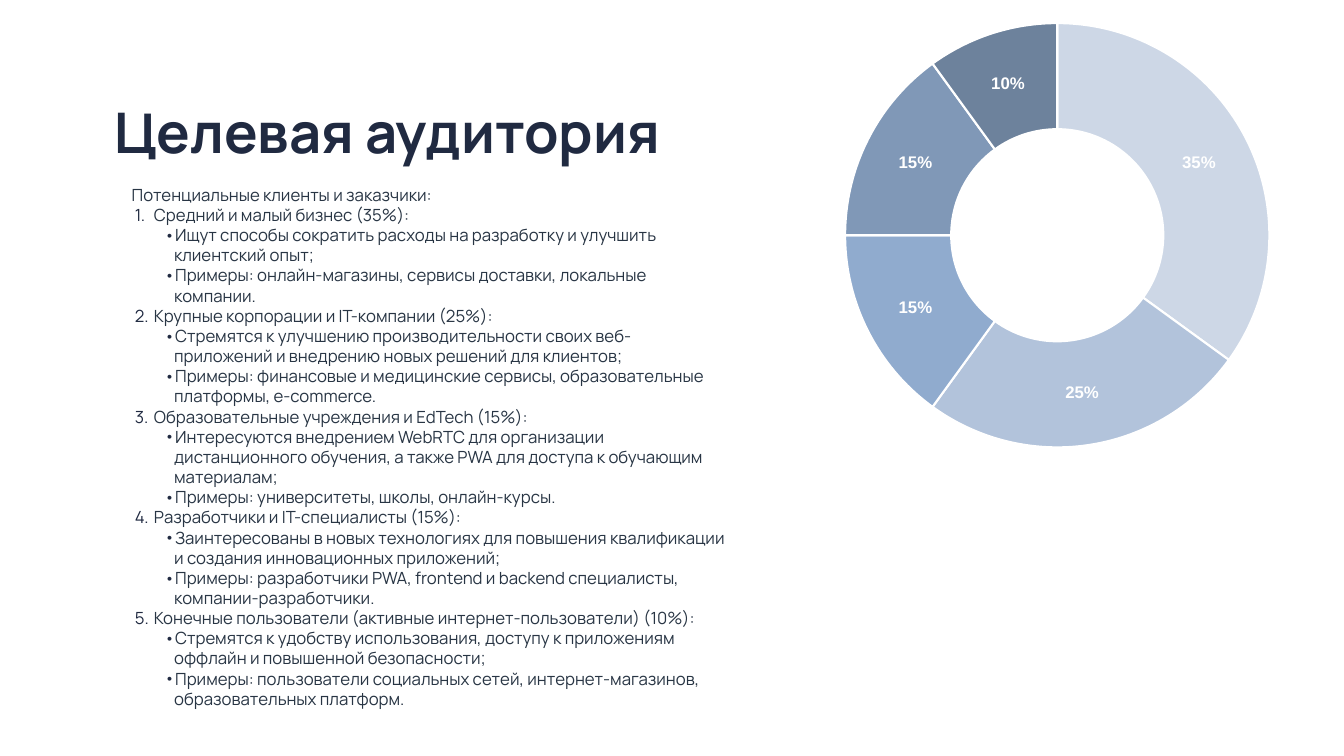
import pptx
import pptx.util
import pptx.chart.data
import pptx.dml.color
import pptx.enum.chart
import pptx.enum.text
from lxml import etree
from pptx.util import Cm, Pt

TITLE = "Целевая аудитория"
INTRO = "Потенциальные клиенты и заказчики:"
GROUPS = [
    ("Средний и малый бизнес", 0.35, "CDD7E6", [
        "Ищут способы сократить расходы на разработку и улучшить клиентский опыт;",
        "Примеры: онлайн-магазины, сервисы доставки, локальные компании."]),
    ("Крупные корпорации и IT-компании", 0.25, "B2C3DB", [
        "Стремятся к улучшению производительности своих веб-приложений и внедрению новых решений для клиентов;",
        "Примеры: финансовые и медицинские сервисы, образовательные платформы, e-commerce."]),
    ("Образовательные учреждения и EdTech", 0.15, "90ABCE", [
        "Интересуются внедрением WebRTC для организации дистанционного обучения, а также PWA для доступа к обучающим материалам;",
        "Примеры: университеты, школы, онлайн-курсы."]),
    ("Разработчики и IT-специалисты", 0.15, "8098B7", [
        "Заинтересованы в новых технологиях для повышения квалификации и создания инновационных приложений;",
        "Примеры: разработчики PWA, frontend и backend специалисты, компании-разработчики."]),
    ("Конечные пользователи (активные интернет-пользователи)", 0.1, "6D829C", [
        "Стремятся к удобству использования, доступу к приложениям оффлайн и повышенной безопасности;",
        "Примеры: пользователи социальных сетей, интернет-магазинов, образовательных платформ."]),
]
NAVY, TEXT, WHITE = "202A41", "283544", "FFFFFF"
LEFT, WIDTH, INSET = Cm(2.64), Cm(15.9), Cm(0.25)
TITLE_TOP, TITLE_H, BODY_H = Cm(2.29), Cm(2.11), Cm(12.73)
RING_LAYOUT = {"x": 0.12, "y": 0.03, "w": 0.76, "h": 0.94}


def rgb(value):
    return pptx.dml.color.RGBColor.from_string(value)


def style(font, name, size, color, bold=False):
    font.name, font.size, font.bold = name, Pt(size), bold
    font.color.rgb = rgb(color)


def setup(tf, anchor):
    tf.word_wrap = True
    tf.auto_size = pptx.enum.text.MSO_AUTO_SIZE.NONE
    tf.vertical_anchor = anchor
    tf.margin_left = tf.margin_right = tf.margin_top = tf.margin_bottom = INSET


def sub(parent, tag, **attrs):
    ns = parent.nsmap[tag.split(":")[0]]
    return etree.SubElement(parent, "{%s}%s" % (ns, tag.split(":")[1]), attrs)


def add_line(tf, text, left, hang=0, bullet=None, **attrs):
    p = tf.paragraphs[0] if not tf.paragraphs[0].runs else tf.add_paragraph()
    p.line_spacing = Pt(14.4)
    p.space_before = p.space_after = Pt(0)
    pPr = p._p.get_or_add_pPr()
    pPr.set("marL", str(Cm(left)))
    pPr.set("indent", str(-Cm(hang)))
    if bullet:
        sub(sub(pPr, "a:buClr"), "a:srgbClr", val=NAVY)
        sub(pPr, "a:buFont", typeface="Manrope")
        sub(pPr, bullet, **attrs)
    r = p.add_run()
    r.text = text
    style(r.font, "Manrope", 12, TEXT)


prs = pptx.Presentation()
prs.slide_width, prs.slide_height = Cm(33.87), Cm(19.05)
s = prs.slides.add_slide(prs.slide_layouts[5])

title = s.shapes.title
title.left, title.top, title.width, title.height = LEFT, TITLE_TOP, WIDTH, TITLE_H
setup(title.text_frame, pptx.enum.text.MSO_ANCHOR.BOTTOM)
p = title.text_frame.paragraphs[0]
p.alignment = pptx.enum.text.PP_ALIGN.LEFT
r = p.add_run()
r.text = TITLE
style(r.font, "Manrope", 40, NAVY, True)

body = s.shapes.add_textbox(LEFT, TITLE_TOP + TITLE_H, WIDTH, BODY_H)
tf = body.text_frame
setup(tf, pptx.enum.text.MSO_ANCHOR.TOP)
add_line(tf, INTRO, 0.43)
for number, (name, share, color, points) in enumerate(GROUPS, 1):
    add_line(tf, f"{name} ({share:.0%}):", 0.99, 0.48, "a:buAutoNum",
             type="arabicPeriod", startAt=str(number))
    for point in points:
        add_line(tf, point, 1.5, 0.25, "a:buChar", char="•")

data = pptx.chart.data.CategoryChartData(number_format="0%")
data.categories = [str(i) for i in range(1, len(GROUPS) + 1)]
data.add_series("Series 1", [g[1] for g in GROUPS])
chart = s.shapes.add_chart(pptx.enum.chart.XL_CHART_TYPE.DOUGHNUT,
                           Cm(19.61), Cm(0.23), Cm(14.07), Cm(11.4), data).chart
chart.has_legend = chart.has_title = False
style(chart.font, "Arial", 10, NAVY)
plot = chart.plots[0]
plot.vary_by_categories = True
plot._element.find("{*}holeSize").set("val", "75")
for i, group in enumerate(GROUPS):
    fmt = plot.series[0].points[i].format
    fmt.fill.solid()
    fmt.fill.fore_color.rgb = rgb(group[2])
    fmt.line.color.rgb = rgb(WHITE)
    fmt.line.width = Pt(1.5)
labels = plot.series[0].data_labels
labels.show_value = True
labels.show_percentage = labels.show_category_name = labels.show_legend_key = False
labels.number_format, labels.number_format_is_linked = "0%", False
style(labels.font, "Arial", 12, WHITE, True)

plot_area = plot._element.getparent()
for old in plot_area.findall("{*}layout"):
    plot_area.remove(old)
layout = sub(plot_area, "c:layout")
plot_area.insert(0, layout)
manual = sub(layout, "c:manualLayout")
sub(manual, "c:layoutTarget", val="inner")
for axis in "xy":
    sub(manual, f"c:{axis}Mode", val="edge")
for key, value in RING_LAYOUT.items():
    sub(manual, f"c:{key}", val=str(value))

prs.save("out.pptx")
